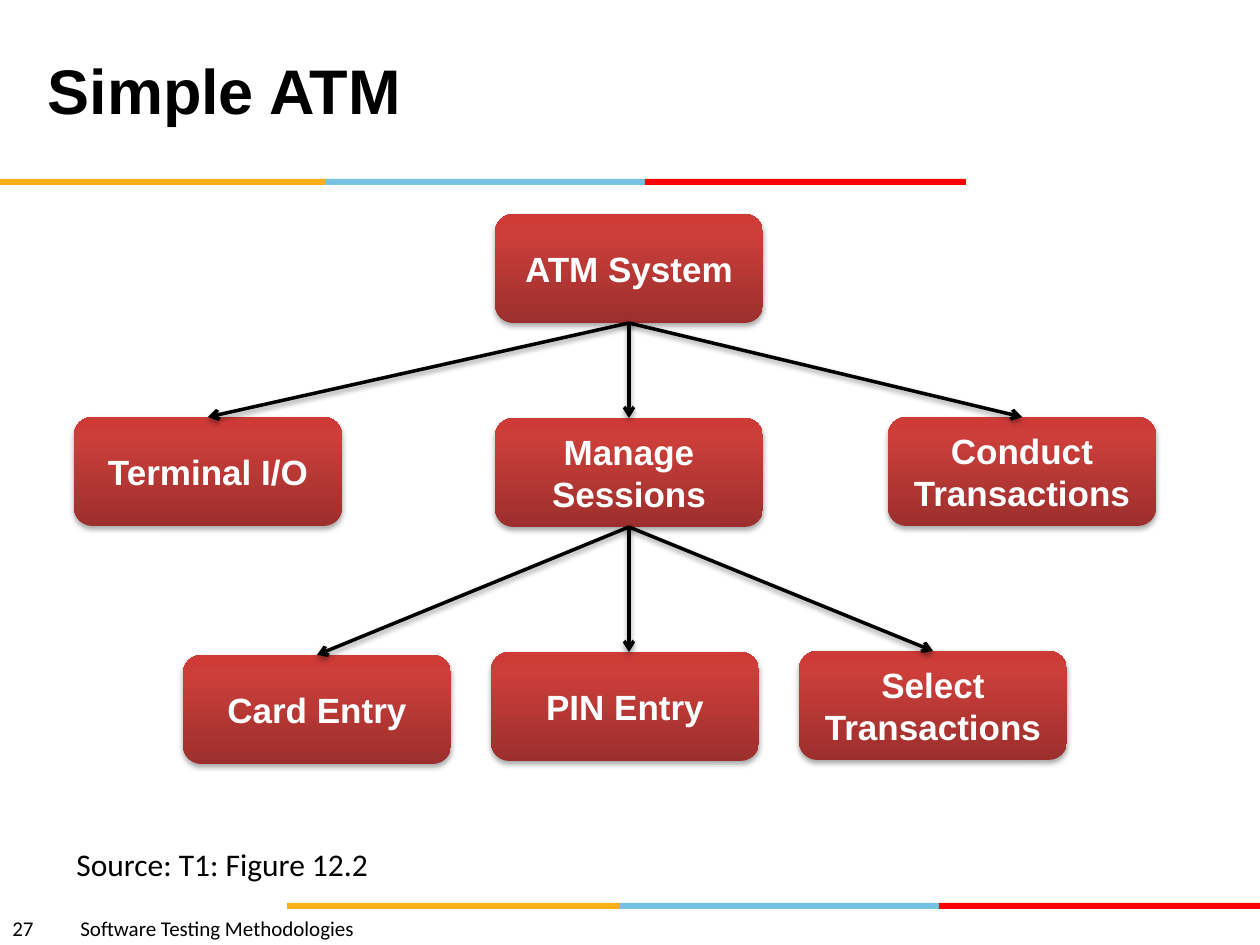
from pptx import Presentation
from pptx import util as u
from pptx.dml import color
from pptx.enum import shapes, text
from pptx.oxml import parse_xml
from pptx.oxml import ns

PX = 914400 / 126
BOX_W, BOX_H = 268, 109
ORANGE, BLUE, RED = "FCB017", "76C2E5", "FF0000"
GRADIENT = [(0, "9C2F2D"), (80, "CB3E3A"), (100, "CE3B37")]


def px(*values):
    return [u.Emu(round(v * PX)) for v in values]


def rgb(value):
    return color.RGBColor.from_string(value)


def xml(tag, body):
    return parse_xml(f"<a:{tag} {ns.nsdecls('a')}>{body}</a:{tag}>")


def shadow(dist, alpha):
    return xml("effectLst", (
        f'<a:outerShdw blurRad="40000" dist="{dist}" dir="5400000" rotWithShape="0">'
        f'<a:srgbClr val="000000"><a:alpha val="{alpha}000"/></a:srgbClr></a:outerShdw>'))


class Deck:
    formats = {
        "title": {"name": "Arial", "size": u.Pt(36), "bold": True, "color": "000000"},
        "box": {"name": "Arial", "size": u.Pt(20), "bold": True, "color": "FFFFFF"},
        "source": {"name": "Calibri", "size": u.Pt(18), "color": "000000"},
        "footer": {"name": "Calibri", "size": u.Pt(12), "color": "000000"},
    }

    def __init__(self, prs):
        self.s = prs.slides.add_slide(prs.slide_layouts[5])

    def set_text(self, sp, content, style, align, anchor):
        tf = sp.text_frame
        tf.word_wrap = True
        tf.auto_size = text.MSO_AUTO_SIZE.NONE
        tf.vertical_anchor = anchor
        p = tf.paragraphs[0]
        p.alignment = align
        r = p.add_run()
        r.text = content
        for key, value in self.formats[style].items():
            if key == "color":
                r.font.color.rgb = rgb(value)
            else:
                setattr(r.font, key, value)
        return p

    def title(self, content, x, y, w, h):
        sp = self.s.shapes.title
        sp.left, sp.top, sp.width, sp.height = px(x, y, w, h)
        self.set_text(sp, content, "title", text.PP_ALIGN.LEFT, text.MSO_ANCHOR.MIDDLE)

    def label(self, content, style, x, y, w, h, tab=None):
        sp = self.s.shapes.add_textbox(*px(x, y, w, h))
        p = self.set_text(sp, content, style, text.PP_ALIGN.LEFT, text.MSO_ANCHOR.TOP)
        if tab:
            pos = px(tab)[0]
            p._p.get_or_add_pPr().append(xml("tabLst", f'<a:tab pos="{pos}" algn="l"/>'))

    def stripe(self, edges, y):
        for left, right, fill in zip(edges, edges[1:], (ORANGE, BLUE, RED)):
            sp = self.s.shapes.add_shape(
                shapes.MSO_SHAPE.RECTANGLE, *px(left, y, right - left, 6))
            sp.shadow.inherit = False
            sp.fill.solid()
            sp.fill.fore_color.rgb = rgb(fill)
            sp.line.fill.background()

    def box(self, content, x, y):
        sp = self.s.shapes.add_shape(
            shapes.MSO_SHAPE.ROUNDED_RECTANGLE, *px(x, y, BOX_W, BOX_H))
        stops = "".join(f'<a:gs pos="{pos}000"><a:srgbClr val="{c}"/></a:gs>'
                        for pos, c in GRADIENT)
        spPr = sp._element.spPr
        spPr.append(xml("gradFill", f'<a:gsLst>{stops}</a:gsLst><a:lin ang="16200000" scaled="0"/>'))
        sp.line.fill.background()
        spPr.append(shadow(23000, 35))
        self.set_text(sp, content, "box", text.PP_ALIGN.CENTER, text.MSO_ANCHOR.MIDDLE)

    def arrow(self, x1, y1, x2, y2):
        c = self.s.shapes.add_connector(shapes.MSO_CONNECTOR.STRAIGHT, *px(x1, y1, x2, y2))
        c.line.width = u.Pt(2)
        c.line.color.rgb = rgb("000000")
        spPr = c._element.spPr
        spPr.get_or_add_ln().append(parse_xml(f'<a:tailEnd {ns.nsdecls("a")} type="arrow"/>'))
        spPr.append(shadow(20000, 38))


def main():
    prs = Presentation()
    prs.slide_width, prs.slide_height = px(1260, 945)
    deck = Deck(prs)

    deck.stripe((287, 620, 939, 1260), 903)
    deck.stripe((0, 325, 645, 966), 179)
    deck.label("27\tSoftware Testing Methodologies", "footer", 0, 909, 630, 36, tab=68)
    deck.title("Simple ATM", 35, 10, 863, 158)

    root = ("ATM System", 495, 214)
    units = [("Terminal I/O", 74, 417), ("Manage Sessions", 495, 418),
             ("Conduct Transactions", 888, 417)]
    steps = [("Card Entry", 183, 655), ("PIN Entry", 491, 652),
             ("Select Transactions", 799, 651)]
    for node in [root, *units, *steps]:
        deck.box(*node)

    for parent, children in ((root, units), (units[1], steps)):
        trunk = parent[1] + BOX_W // 2
        left, middle, right = children
        ends = ((left, left[1] + BOX_W // 2), (middle, trunk), (right, right[1] + BOX_W // 2))
        for child, x in ends:
            deck.arrow(trunk, parent[2] + BOX_H, x, child[2])

    deck.label("Source: T1: Figure 12.2", "source", 64, 839, 340, 51)
    prs.save("out.pptx")


if __name__ == "__main__":
    main()
